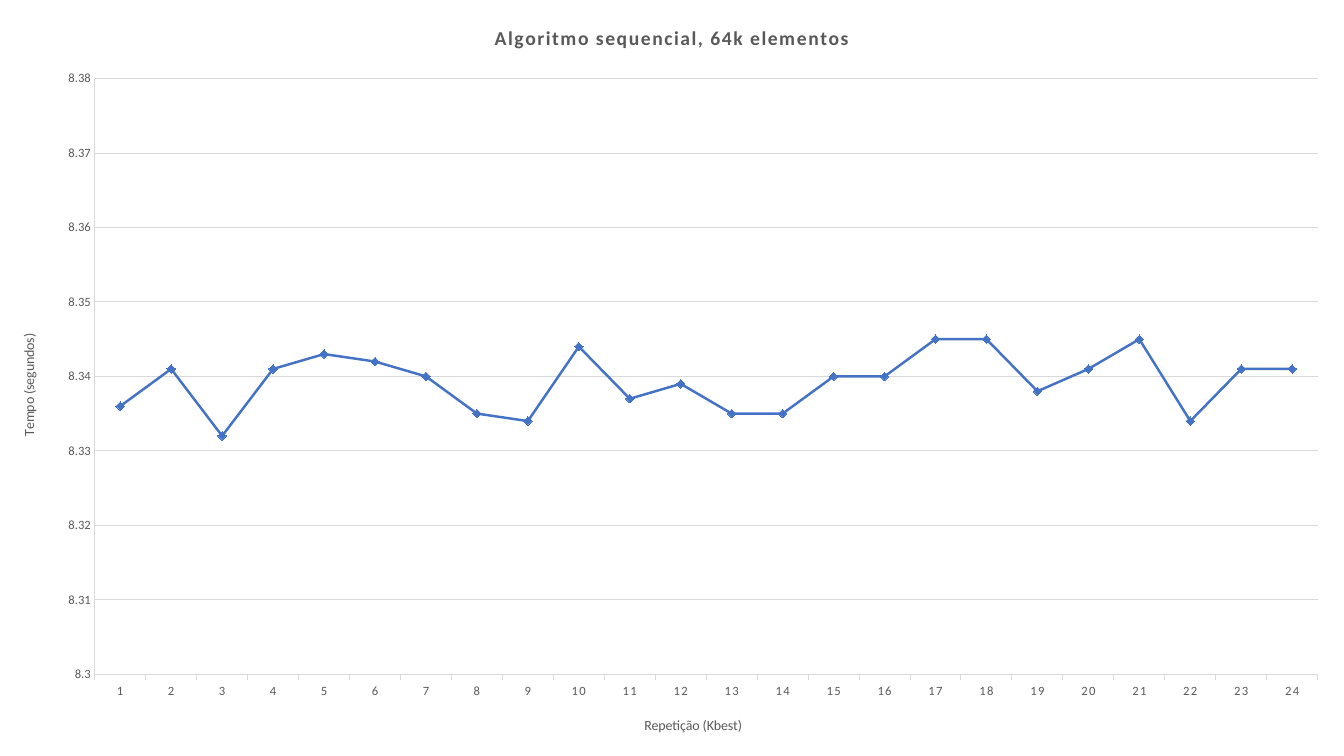
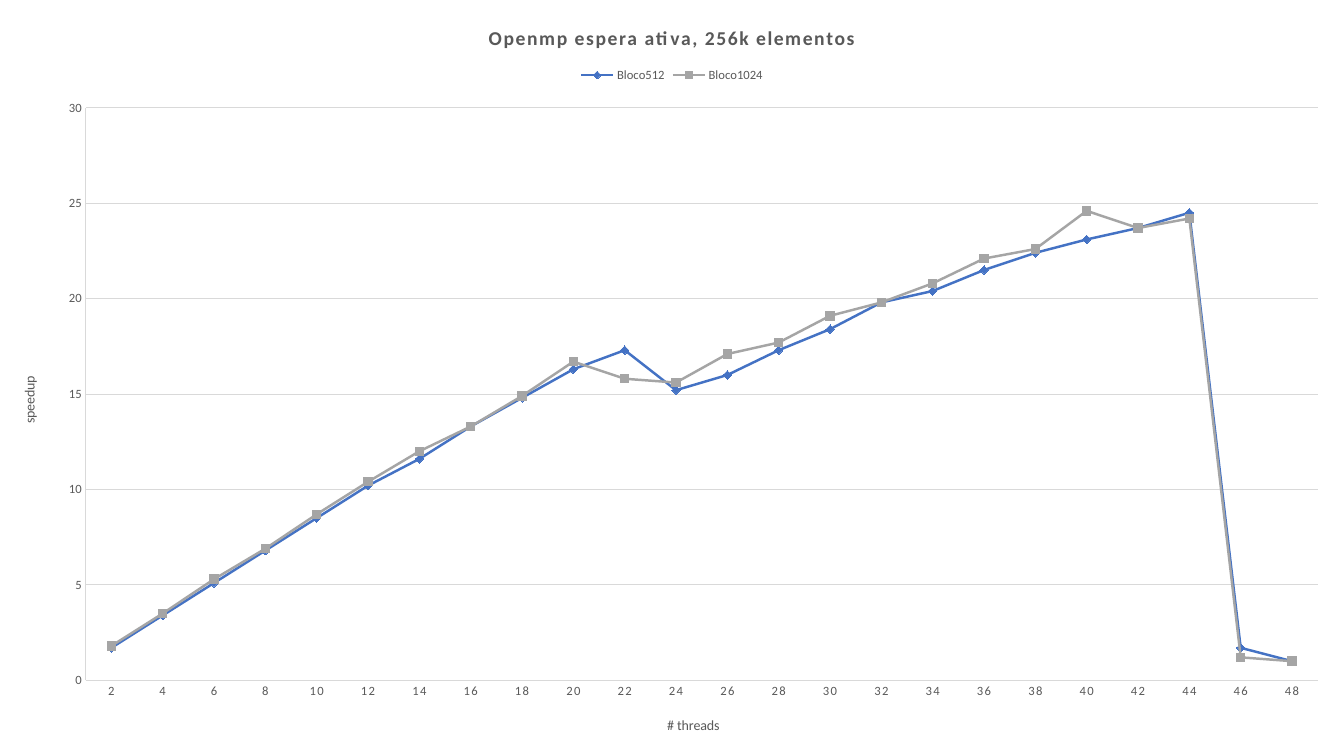
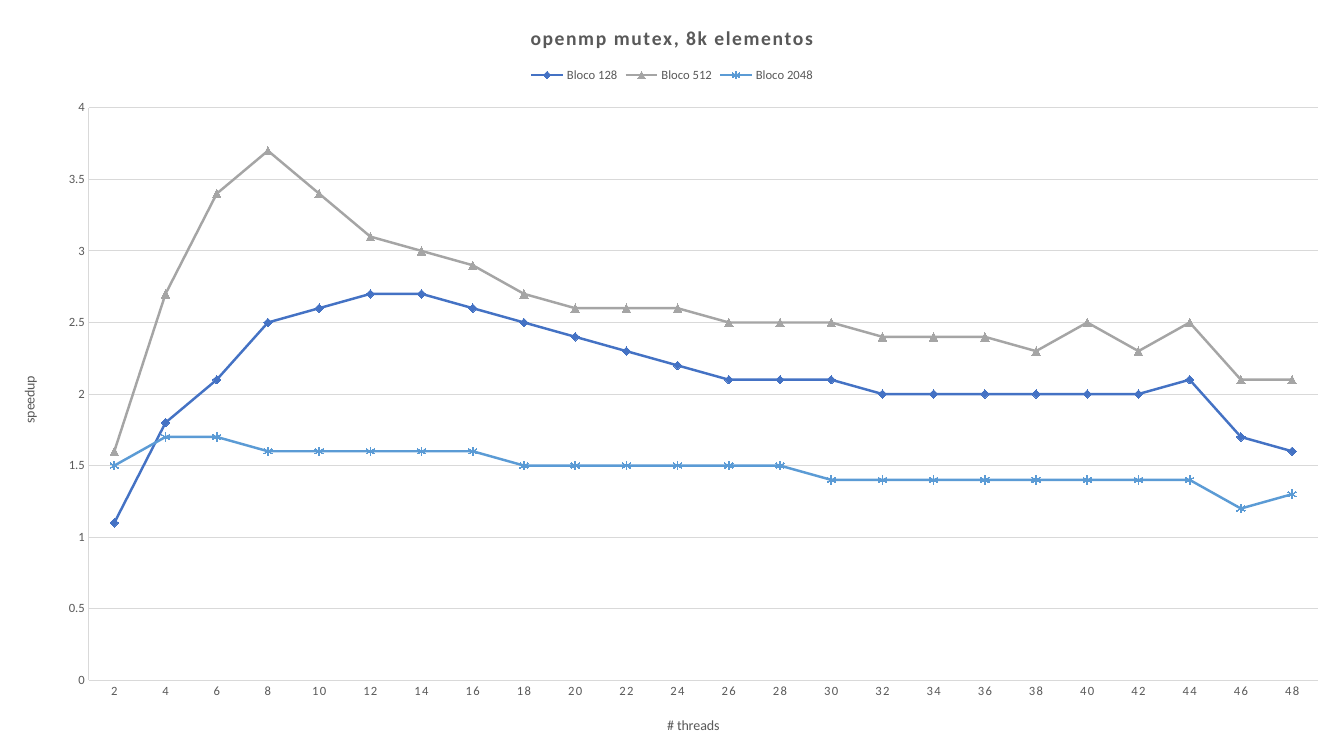
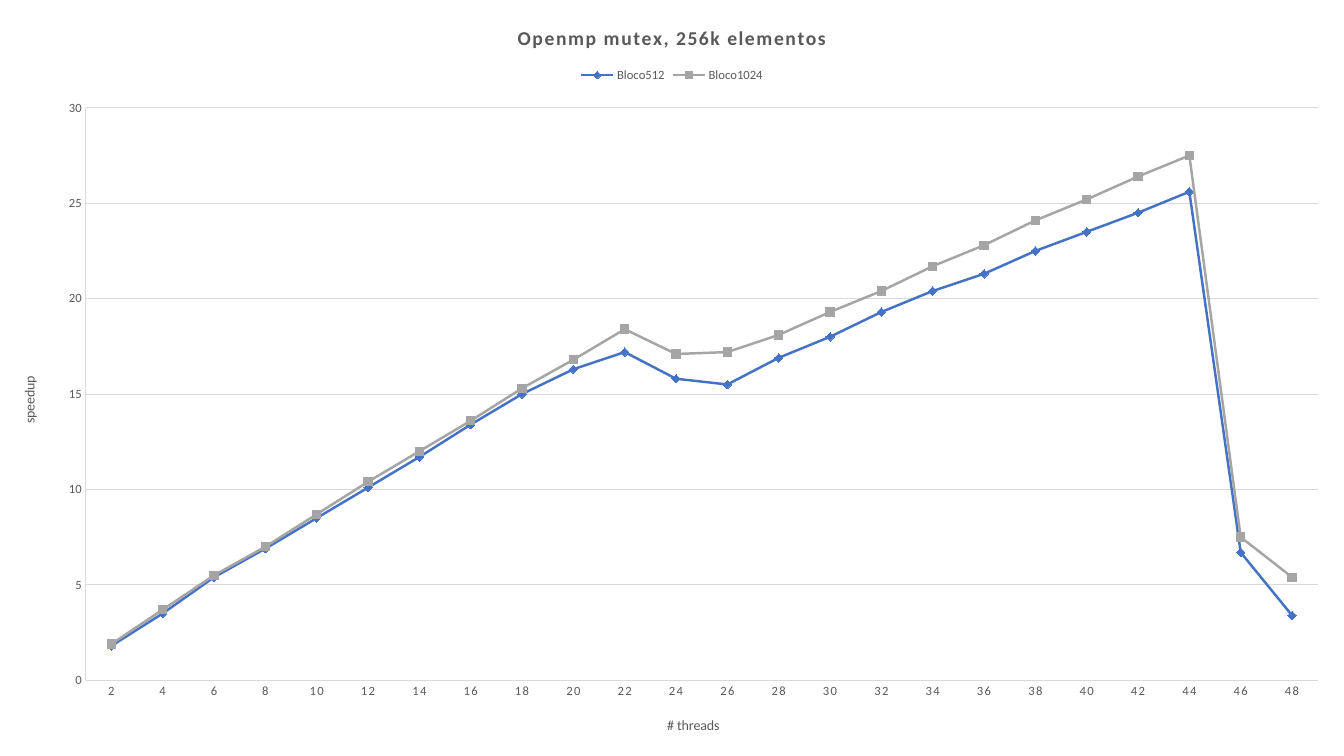
from pptx import Presentation
from pptx.chart.data import CategoryChartData
from pptx.dml.color import RGBColor
from pptx.enum.chart import (XL_CHART_TYPE, XL_LEGEND_POSITION, XL_MARKER_STYLE,
                             XL_TICK_MARK)
from pptx.oxml import parse_xml
from pptx.oxml.ns import nsdecls
from pptx.util import Inches, Pt

LINE_MARKERS = XL_CHART_TYPE.LINE_MARKERS
LEGEND_TOP = XL_LEGEND_POSITION.TOP
TICK_NONE, TICK_OUTSIDE = XL_TICK_MARK.NONE, XL_TICK_MARK.OUTSIDE
DIAMOND, SQUARE = XL_MARKER_STYLE.DIAMOND, XL_MARKER_STYLE.SQUARE
TRIANGLE, STAR = XL_MARKER_STYLE.TRIANGLE, XL_MARKER_STYLE.STAR

SLIDE_WIDTH, SLIDE_HEIGHT = 13.33, 7.5
PLOT_RIGHT = 13.07
FONT_NAME = "Calibri"
LETTER_SPACING = "100"  # hundredths of a point
COLORS = {"text": "595959", "grid": "D9D9D9", "blue": "4472C4",
          "gray": "A5A5A5", "sky": "5B9BD5"}

REPETITIONS = range(1, 25)
THREADS = range(2, 49, 2)

# scale: minimum, maximum, step; plot: left, top, bottom in inches
SPEEDUP = {"categories": THREADS, "category_title": "# threads",
           "value_title": "speedup", "tick": TICK_NONE, "legend": True,
           "scale": (0, 30, 5), "plot": (0.85, 1.07, 6.75)}

# series: name, colour, marker, values
CHARTS = [
    {"title": "Algoritmo sequencial, 64k elementos",
     "categories": REPETITIONS, "category_title": "Repetição (Kbest)",
     "value_title": "Tempo (segundos)", "tick": TICK_OUTSIDE, "legend": False,
     "scale": (8.3, 8.38, 0.01), "plot": (0.94, 0.78, 6.69),
     "series": [
         ("Series 1", "blue", DIAMOND,
          [8.336, 8.341, 8.332, 8.341, 8.343, 8.342, 8.34, 8.335,
           8.334, 8.344, 8.337, 8.339, 8.335, 8.335, 8.34, 8.34,
           8.345, 8.345, 8.338, 8.341, 8.345, 8.334, 8.341, 8.341])]},
    {**SPEEDUP, "title": "Openmp espera ativa, 256k elementos",
     "series": [
         ("Bloco512", "blue", DIAMOND,
          [1.7, 3.4, 5.1, 6.8, 8.5, 10.2, 11.6, 13.3, 14.8, 16.3, 17.3, 15.2,
           16, 17.3, 18.4, 19.8, 20.4, 21.5, 22.4, 23.1, 23.7, 24.5, 1.7, 1]),
         ("Bloco1024", "gray", SQUARE,
          [1.8, 3.5, 5.3, 6.9, 8.7, 10.4, 12, 13.3, 14.9, 16.7, 15.8, 15.6,
           17.1, 17.7, 19.1, 19.8, 20.8, 22.1, 22.6, 24.6, 23.7, 24.2, 1.2, 1])]},
    {**SPEEDUP, "title": "openmp mutex, 8k elementos",
     "scale": (0, 4, 0.5), "plot": (0.88, 1.07, 6.75),
     "series": [
         ("Bloco 128", "blue", DIAMOND,
          [1.1, 1.8, 2.1, 2.5, 2.6, 2.7, 2.7, 2.6, 2.5, 2.4, 2.3, 2.2,
           2.1, 2.1, 2.1, 2, 2, 2, 2, 2, 2, 2.1, 1.7, 1.6]),
         ("Bloco 512", "gray", TRIANGLE,
          [1.6, 2.7, 3.4, 3.7, 3.4, 3.1, 3, 2.9, 2.7, 2.6, 2.6, 2.6,
           2.5, 2.5, 2.5, 2.4, 2.4, 2.4, 2.3, 2.5, 2.3, 2.5, 2.1, 2.1]),
         ("Bloco 2048", "sky", STAR,
          [1.5, 1.7, 1.7, 1.6, 1.6, 1.6, 1.6, 1.6, 1.5, 1.5, 1.5, 1.5,
           1.5, 1.5, 1.4, 1.4, 1.4, 1.4, 1.4, 1.4, 1.4, 1.4, 1.2, 1.3])]},
    {**SPEEDUP, "title": "Openmp mutex, 256k elementos",
     "series": [
         ("Bloco512", "blue", DIAMOND,
          [1.8, 3.5, 5.4, 6.9, 8.5, 10.1, 11.7, 13.4, 15, 16.3, 17.2, 15.8,
           15.5, 16.9, 18, 19.3, 20.4, 21.3, 22.5, 23.5, 24.5, 25.6, 6.7, 3.4]),
         ("Bloco1024", "gray", SQUARE,
          [1.9, 3.7, 5.5, 7, 8.7, 10.4, 12, 13.6, 15.3, 16.8, 18.4, 17.1,
           17.2, 18.1, 19.3, 20.4, 21.7, 22.8, 24.1, 25.2, 26.4, 27.5, 7.5, 5.4])]},
]


def color(name):
    """Return the named colour."""
    return RGBColor.from_string(COLORS[name])


def style_font(font, size, bold=False, spaced=False):
    """Format chart text."""
    font.name, font.size, font.bold = FONT_NAME, Pt(size), bold
    font.color.rgb = color("text")
    if spaced:
        font._rPr.set("spc", LETTER_SPACING)


def style_line(line, name, width=0.75):
    """Give a line its colour and width in points."""
    line.color.rgb = color(name)
    line.width = Pt(width)


def write_title(title, text, **font_format):
    """Write the title of a chart or an axis."""
    paragraph = title.text_frame.paragraphs[0]
    run = paragraph.add_run()
    run.text = text
    style_font(run.font, **font_format)


def style_axis(axis, title, tick, spaced=False):
    """Format an axis with its title and labels."""
    write_title(axis.axis_title, title, size=10)
    axis.major_tick_mark, axis.minor_tick_mark = tick, TICK_NONE
    style_font(axis.tick_labels.font, 9, spaced=spaced)
    style_line(axis.format.line, "grid")


def place_plot(chart, left, top, bottom):
    """Fix the inner plot area, given in inches."""
    fractions = {"x": left / SLIDE_WIDTH, "y": top / SLIDE_HEIGHT,
                 "w": (PLOT_RIGHT - left) / SLIDE_WIDTH,
                 "h": (bottom - top) / SLIDE_HEIGHT}
    modes = '<c:xMode val="edge"/><c:yMode val="edge"/>'
    sizes = "".join(f'<c:{key} val="{value:.4f}"/>' for key, value in fractions.items())
    plot_area = chart._chartSpace.chart.plotArea
    for layout in plot_area.findall("{*}layout"):
        plot_area.remove(layout)
    plot_area.insert(0, parse_xml(
        f'<c:layout {nsdecls("c")}><c:manualLayout><c:layoutTarget val="inner"/>'
        f'{modes}{sizes}</c:manualLayout></c:layout>'))


def style_series(series, color_name, marker_style):
    """Format a line and its markers."""
    series.smooth = False
    style_line(series.format.line, color_name, 1.75)
    marker = series.marker
    marker.style, marker.size = marker_style, 6
    style_line(marker.format.line, color_name)
    if marker_style == STAR:
        marker.format.fill.background()
    else:
        marker.format.fill.solid()
        marker.format.fill.fore_color.rgb = color(color_name)


def add_line_chart(slide, content):
    """Fill the slide with one line chart."""
    data = CategoryChartData()
    data.categories = [str(category) for category in content["categories"]]
    for name, _, _, values in content["series"]:
        data.add_series(name, values)
    chart = slide.shapes.add_chart(LINE_MARKERS, 0, 0, Inches(SLIDE_WIDTH),
                                   Inches(SLIDE_HEIGHT), data).chart
    chart.font.name, chart.font.size = FONT_NAME, Pt(10)
    write_title(chart.chart_title, content["title"], size=14, bold=True, spaced=True)
    chart.chart_title.include_in_layout = False
    chart.has_legend = content["legend"]
    if chart.has_legend:
        chart.legend.position = LEGEND_TOP
        chart.legend.include_in_layout = False
        style_font(chart.legend.font, 9)

    style_axis(chart.category_axis, content["category_title"], content["tick"], spaced=True)
    value_axis = chart.value_axis
    style_axis(value_axis, content["value_title"], TICK_NONE)
    value_axis.minimum_scale, value_axis.maximum_scale, value_axis.major_unit = content["scale"]
    value_axis.tick_labels.number_format = "General"
    value_axis.tick_labels.number_format_is_linked = False
    style_line(value_axis.major_gridlines.format.line, "grid")

    chart.plots[0].vary_by_categories = False
    for series, (_, color_name, marker, _) in zip(chart.plots[0].series, content["series"]):
        style_series(series, color_name, marker)
    place_plot(chart, *content["plot"])


presentation = Presentation()
presentation.slide_width = Inches(SLIDE_WIDTH)
presentation.slide_height = Inches(SLIDE_HEIGHT)
blank_layout = presentation.slide_layouts[6]
for chart_content in CHARTS:
    add_line_chart(presentation.slides.add_slide(blank_layout), chart_content)
presentation.save("out.pptx")
